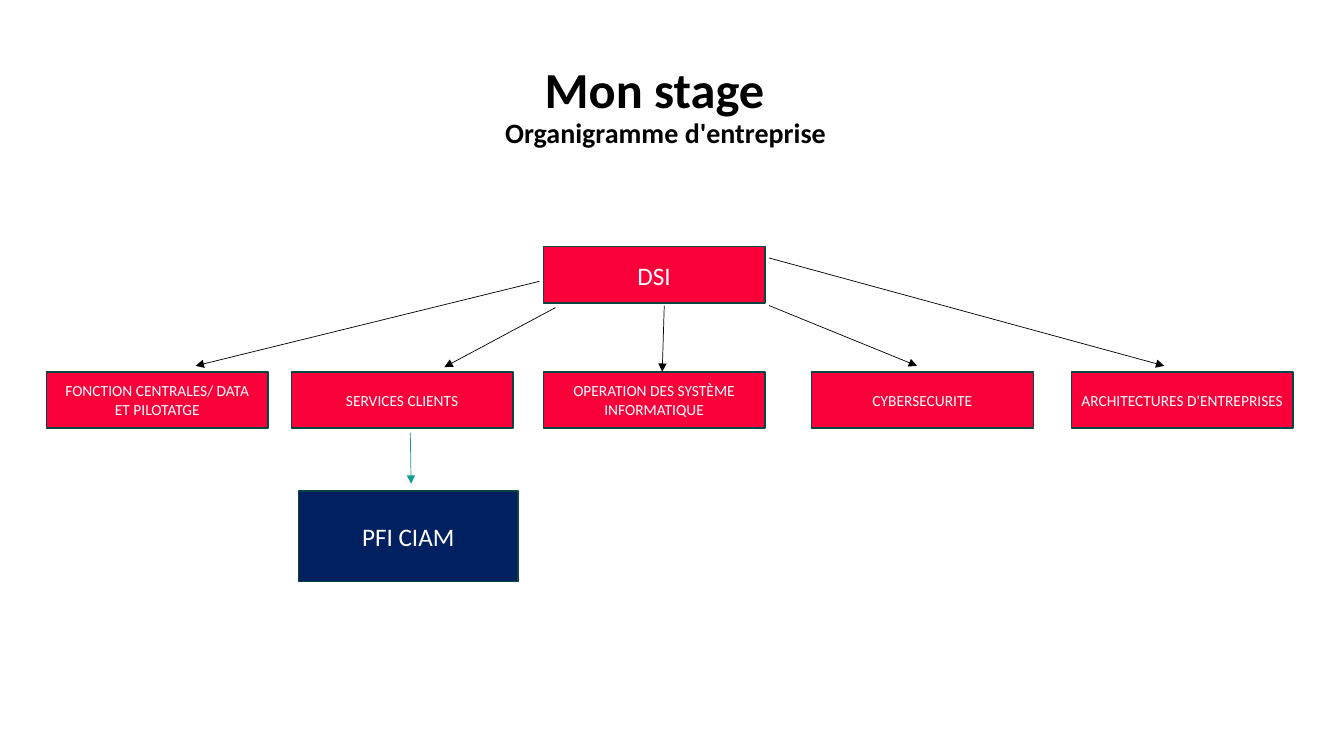
import pptx
import pptx.dml.color
import pptx.enum.shapes
import pptx.enum.text
import pptx.oxml
import pptx.oxml.ns
import pptx.util
from pptx.util import Cm

RED = pptx.dml.color.RGBColor(0xFA, 0x00, 0x3A)
NAVY = pptx.dml.color.RGBColor(0x00, 0x20, 0x60)
OUTLINE = pptx.dml.color.RGBColor(0x0A, 0x44, 0x43)
TEAL = pptx.dml.color.RGBColor(0x16, 0x9C, 0x9A)
BLACK = pptx.dml.color.RGBColor(0x00, 0x00, 0x00)
WHITE = pptx.dml.color.RGBColor(0xFF, 0xFF, 0xFF)

BOX_WIDTH, BOX_HEIGHT = 5.59, 1.42
DIRECTION_LEFT = 12.52
DEPARTMENTS_TOP = 3.15
# Left edge and name of each department, then the ends of its arrow, in cm
DEPARTMENTS = [
    (0, "FONCTION CENTRALES/ DATA ET PILOTATGE", (12.42, 0.87), (3.76, 3)),
    (6.17, "SERVICES CLIENTS", (12.83, 1.53), (10.03, 3.03)),
    (12.52, "OPERATION DES SYSTÈME INFORMATIQUE", (15.57, 1.48), (15.52, 3.15)),
    (19.28, "CYBERSECURITE", (18.21, 1.48), (21.94, 3)),
    (25.83, "ARCHITECTURES D'ENTREPRISES", (18.21, 0.28), (28.17, 3)),
]


def format_paragraph(paragraph, size, color, bold=False):
    paragraph.alignment = pptx.enum.text.PP_ALIGN.CENTER
    values = {"name": "Calibri", "size": pptx.util.Pt(size), "bold": bold}
    for attribute, value in values.items():
        setattr(paragraph.font, attribute, value)
    paragraph.font.color.rgb = color


def add_title(slide, left, top, width, height):
    frame = slide.shapes.add_textbox(Cm(left), Cm(top), Cm(width), Cm(height)).text_frame
    frame.word_wrap = True
    frame.text = "Mon stage\nOrganigramme d'entreprise"
    for paragraph, size in zip(frame.paragraphs, (36, 20)):
        paragraph.line_spacing = 0.9
        format_paragraph(paragraph, size, BLACK, bold=True)
    # The subtitle sits slightly to the right of the title
    frame.paragraphs[1]._p.get_or_add_pPr().set("marL", str(Cm(0.56)))


def add_unit(slide, text, left, top, width, height, fill, size):
    shape = slide.shapes.add_shape(
        pptx.enum.shapes.MSO_SHAPE.RECTANGLE, Cm(left), Cm(top), Cm(width), Cm(height))
    shape.shadow.inherit = False
    shape.fill.solid()
    shape.fill.fore_color.rgb = fill
    shape.line.color.rgb = OUTLINE
    shape.line.width = pptx.util.Pt(1)
    frame = shape.text_frame
    frame.word_wrap = True
    frame.vertical_anchor = pptx.enum.text.MSO_ANCHOR.MIDDLE
    frame.text = text
    format_paragraph(frame.paragraphs[0], size, WHITE)


def add_arrow(slide, left, top, start, end, color):
    """Draw an arrow whose ends are measured from left and top."""
    connector = slide.shapes.add_connector(
        pptx.enum.shapes.MSO_CONNECTOR.STRAIGHT,
        Cm(left + start[0]), Cm(top + start[1]), Cm(left + end[0]), Cm(top + end[1]))
    connector.line.color.rgb = color
    connector.line.width = pptx.util.Pt(0.5)
    namespace = pptx.oxml.ns.nsdecls("a")
    connector.line._get_or_add_ln().append(
        pptx.oxml.parse_xml(f'<a:tailEnd {namespace} type="triangle"/>'))
    connector._element.spPr.append(pptx.oxml.parse_xml(f"<a:effectLst {namespace}/>"))


def add_organisation_chart(slide, left, top):
    add_unit(slide, "DSI", left + DIRECTION_LEFT, top, BOX_WIDTH, BOX_HEIGHT, RED, 18)
    for offset, name, start, end in DEPARTMENTS:
        add_unit(slide, name, left + offset, top + DEPARTMENTS_TOP,
                 BOX_WIDTH, BOX_HEIGHT, RED, 11)
        add_arrow(slide, left, top, start, end, BLACK)
    add_unit(slide, "PFI CIAM", left + 6.35, top + 6.15, 5.54, 2.29, NAVY, 18)
    add_arrow(slide, left, top, (9.17, 4.68), (9.19, 5.97), TEAL)


def main():
    presentation = pptx.Presentation()
    presentation.slide_width = Cm(33.87)
    presentation.slide_height = Cm(19.05)
    slide = presentation.slides.add_slide(presentation.slide_layouts[6])
    add_title(slide, 1.7, 1.52, 29.59, 3.15)
    add_organisation_chart(slide, 1.17, 6.22)
    presentation.save("out.pptx")


if __name__ == "__main__":
    main()
